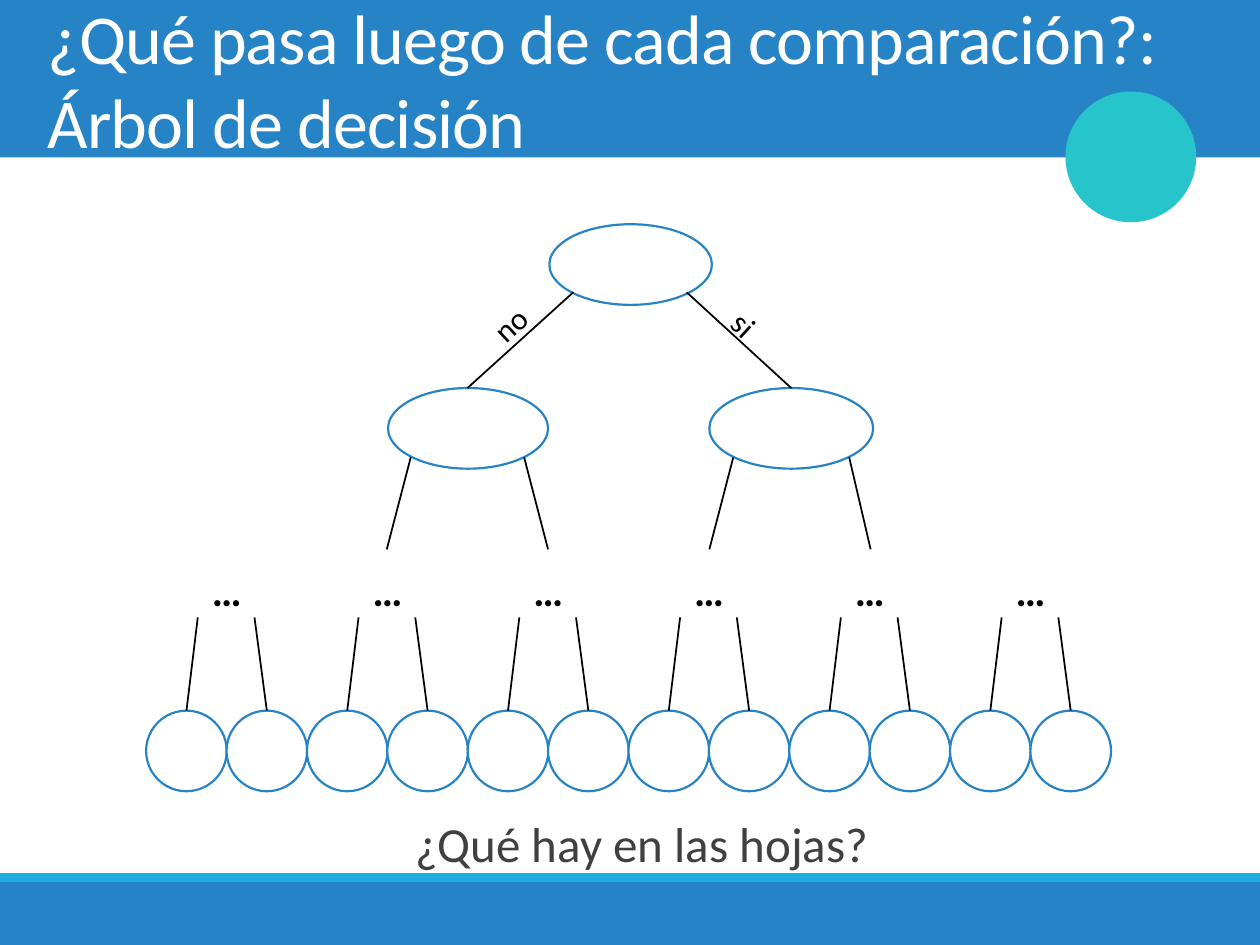
from dataclasses import dataclass
from typing import Optional

from lxml import etree
from pptx import Presentation
from pptx.dml.color import RGBColor
from pptx.enum import shapes, text
from pptx.oxml.ns import qn
from pptx.util import Inches, Pt


@dataclass(frozen=True)
class Theme:
    font: str = "Calibri"
    blue: str = "2683C6"
    sky: str = "1CADE4"
    teal: str = "28C4CC"
    white: str = "FFFFFF"
    black: str = "000000"
    gray: str = "404040"
    title: int = 40
    question: int = 28
    dots: int = 24
    label: int = 18
    outline: float = 1.25
    branch: float = 1


@dataclass(frozen=True)
class Box:
    left: float
    top: float
    width: float
    height: float

    def emu(self) -> list:
        return [Inches(v) for v in (self.left, self.top, self.width, self.height)]


@dataclass(frozen=True)
class Branch:
    x1: float
    y1: float
    x2: float
    y2: float


@dataclass(frozen=True)
class Label:
    words: str
    box: Box
    rotation: float


T = Theme()
OVAL = shapes.MSO_SHAPE.OVAL
RECT = shapes.MSO_SHAPE.RECTANGLE
SIZE = 0.64
LEAF_LEFT, LEAF_TOP, LEAF_STEP, LEAF_COUNT = 1.16, 5.64, 0.64 - 0.01 / 5, 12
DOTS_LEFT, DOTS_TOP, DOTS_COUNT = 1.48, 4.36, 6

BANDS = [
    (Box(0, 0, 10, 1.25), T.blue),
    (Box(0, 7, 10, 0.5), T.blue),
    (Box(0, 6.93, 10, 0.07), T.sky),
]
NODES = [
    Box(4.36, 1.78, 1.29, SIZE),
    Box(3.08, 3.08, 1.27, SIZE),
    Box(5.63, 3.08, 1.3, SIZE),
]
BRANCHES = [
    Branch(4.55, 2.32, 3.71, 3.08),
    Branch(5.45, 2.32, 6.28, 3.08),
    Branch(3.26, 3.63, 3.07, 4.36),
    Branch(4.16, 3.63, 4.35, 4.36),
    Branch(5.82, 3.63, 5.63, 4.36),
    Branch(6.74, 3.63, 6.91, 4.36),
]
LABELS = [
    Label("no", Box(3.8, 2.33, 0.58, 0.4), 316.9),
    Label("si", Box(5.7, 2.45, 0.58, 0.4), 42.5),
]


def write(sp, words: str, size: int, color: str, align, bold: bool = False):
    tf = sp.text_frame
    tf.word_wrap = True
    p = tf.paragraphs[0]
    p.alignment = align
    r = p.add_run()
    r.text = words
    for name, value in {"name": T.font, "size": Pt(size), "bold": bold}.items():
        setattr(r.font, name, value)
    r.font.color.rgb = RGBColor.from_string(color)
    return p, r


def add_shape(s, kind, box: Box, fill: str, line: Optional[str] = None,
              width: float = T.outline):
    sp = s.shapes.add_shape(kind, *box.emu())
    sp.shadow.inherit = False
    sp.fill.solid()
    sp.fill.fore_color.rgb = RGBColor.from_string(fill)
    if line:
        sp.line.color.rgb = RGBColor.from_string(line)
        sp.line.width = Pt(width)
    else:
        sp.line.fill.background()
    return sp


def add_branch(s, b: Branch) -> None:
    ends = [Inches(v) for v in (b.x1, b.y1, b.x2, b.y2)]
    c = s.shapes.add_connector(shapes.MSO_CONNECTOR.STRAIGHT, *ends)
    c.line.color.rgb = RGBColor.from_string(T.black)
    c.line.width = Pt(T.branch)
    etree.SubElement(c._element.spPr, qn("a:effectLst"))


def add_label(s, label: Label) -> None:
    sp = s.shapes.add_textbox(*label.box.emu())
    sp.rotation = label.rotation
    write(sp, label.words, T.label, T.black, text.PP_ALIGN.LEFT)


def add_title(s, words: str) -> None:
    sp = s.shapes.title
    tree = sp._element.getparent()
    tree.append(sp._element)
    for name, value in zip(("left", "top", "width", "height"),
                           Box(0.28, 0, 9.45, 1.25).emu()):
        setattr(sp, name, value)
    _, r = write(sp, words, T.title, T.white, text.PP_ALIGN.LEFT)
    r._r.get_or_add_rPr().set("spc", "-50")
    sp.text_frame.auto_size = text.MSO_AUTO_SIZE.NONE
    sp.text_frame.vertical_anchor = text.MSO_ANCHOR.MIDDLE


def add_question(s, words: str) -> None:
    sp = s.shapes.add_textbox(*Box(0.27, 6.17, 9.45, 1.25).emu())
    p, _ = write(sp, words, T.question, T.gray, text.PP_ALIGN.CENTER)
    pPr = p._p.get_or_add_pPr()
    pPr.set("marL", str(Inches(0.1)))
    pPr.set("indent", str(Inches(-0.1)))
    color = etree.SubElement(pPr, qn("a:buClr"))
    etree.SubElement(color, qn("a:srgbClr")).set("val", T.sky)
    etree.SubElement(pPr, qn("a:buChar")).set("char", " ")
    for name, value in {"line_spacing": 1.5, "space_after": Pt(2)}.items():
        setattr(p, name, value)


def add_dots(s, left: float) -> None:
    sp = add_shape(s, OVAL, Box(left, DOTS_TOP, SIZE, SIZE), T.white)
    sp.text_frame.vertical_anchor = text.MSO_ANCHOR.MIDDLE
    write(sp, "…", T.dots, T.black, text.PP_ALIGN.CENTER, bold=True)


def main() -> None:
    prs = Presentation()
    prs.slide_width, prs.slide_height = Inches(10), Inches(7.5)
    s = prs.slides.add_slide(prs.slide_layouts[5])

    for box, fill in BANDS:
        add_shape(s, RECT, box, fill)
    add_shape(s, OVAL, Box(8.47, 0.74, 1.01, 1.01), T.teal, T.teal, 2)
    add_title(s, "¿Qué pasa luego de cada comparación?: Árbol de decisión")
    add_question(s, "¿Qué hay en las hojas?")

    for i in range(DOTS_COUNT):
        add_dots(s, DOTS_LEFT + 2 * LEAF_STEP * i)
    for box in NODES:
        add_shape(s, OVAL, box, T.white, T.blue)
    for i in range(LEAF_COUNT):
        leaf = LEAF_LEFT + LEAF_STEP * i
        add_shape(s, OVAL, Box(leaf, LEAF_TOP, SIZE, SIZE), T.white, T.blue)
        pair, side = divmod(i, 2)
        start = DOTS_LEFT + 2 * LEAF_STEP * pair + (0.54 if side else 0.09)
        add_branch(s, Branch(start, 4.9, leaf + SIZE / 2, LEAF_TOP))
    for branch in BRANCHES:
        add_branch(s, branch)
    for label in LABELS:
        add_label(s, label)

    prs.save("out.pptx")


if __name__ == "__main__":
    main()
